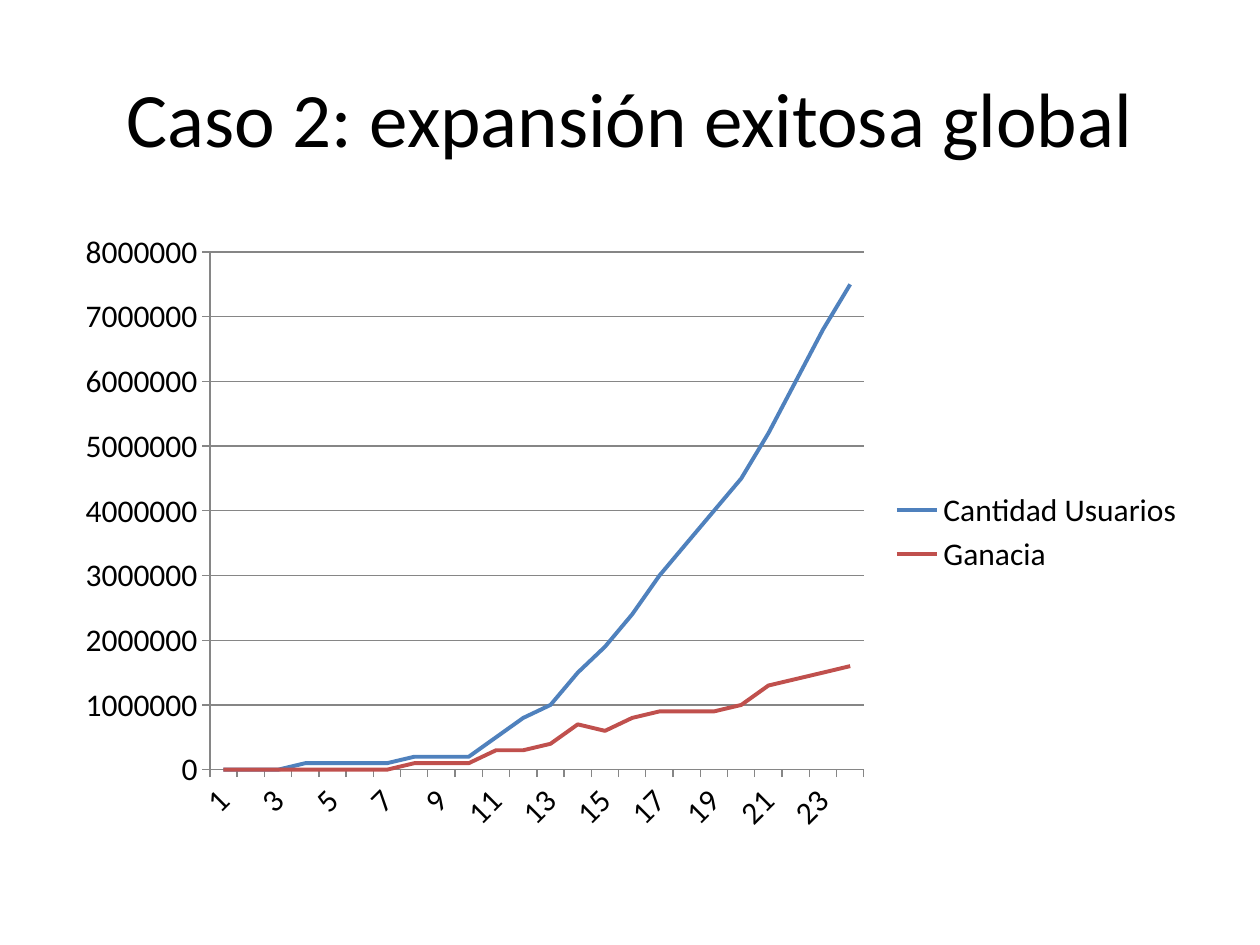
from pptx import Presentation
from pptx.chart.data import CategoryChartData
from pptx.dml.color import RGBColor
from pptx.enum.chart import XL_CHART_TYPE, XL_LEGEND_POSITION, XL_MARKER_STYLE, XL_TICK_MARK
from pptx.enum.text import MSO_ANCHOR, PP_ALIGN
from pptx.util import Inches, Pt

LINE, RIGHT = XL_CHART_TYPE.LINE, XL_LEGEND_POSITION.RIGHT
BARE = XL_MARKER_STYLE.NONE
OUT, NONE = XL_TICK_MARK.OUTSIDE, XL_TICK_MARK.NONE
MID, CENTER = MSO_ANCHOR.MIDDLE, PP_ALIGN.CENTER

TITLE = "Caso 2: expansión exitosa global"
UNIT = 100000
SERIES = {
    "Cantidad Usuarios": [0, 0, 0, 1, 1, 1, 1, 2, 2, 2, 5, 8,
                          10, 15, 19, 24, 30, 35, 40, 45, 52, 60, 68, 75],
    "Ganacia": [0, 0, 0, 0, 0, 0, 0, 1, 1, 1, 3, 3,
                4, 7, 6, 8, 9, 9, 9, 10, 13, 14, 15, 16],
}
THEME = {
    "font": "Calibri", "ink": "000000", "rule": "868686",
    "lines": ["4F81BD", "C0504D"],
    "head": 44, "body": 18, "stroke": 2.25, "thin": 0.75,
}
WIDE, HIGH = 10, 7.5
EDGE = WIDE / 20
SPAN = WIDE - 2 * EDGE


def put(obj, vals):
    for key, val in vals.items():
        setattr(obj, key, val)


def place(obj, top, tall):
    put(obj, dict(left=Inches(EDGE), top=Inches(top),
                  width=Inches(SPAN), height=Inches(tall)))


def style(font, size):
    put(font, dict(name=THEME["font"], size=Pt(size)))
    font.color.rgb = RGBColor.from_string(THEME["ink"])


def stroke(line, tint, width):
    line.color.rgb = RGBColor.from_string(tint)
    line.width = Pt(width)


deck = Presentation()
put(deck, dict(slide_width=Inches(WIDE), slide_height=Inches(HIGH)))
slide = deck.slides.add_slide(deck.slide_layouts[5])

head = slide.shapes.title
place(head, HIGH * 0.04, HIGH / 6)
put(head.text_frame, dict(text=TITLE, vertical_anchor=MID, word_wrap=True))
para = head.text_frame.paragraphs[0]
para.alignment = CENTER
style(para.runs[0].font, THEME["head"])

data = CategoryChartData(number_format="0")
data.categories = [str(n + 1) for n in range(len(SERIES["Ganacia"]))]
for name, vals in SERIES.items():
    data.add_series(name, [val * UNIT for val in vals])
frame = slide.shapes.add_chart(LINE, 0, 0, Inches(SPAN), Inches(HIGH * 0.66), data)
place(frame, WIDE * 0.175, HIGH * 0.66)

chart = frame.chart
put(chart, dict(has_title=False, has_legend=True))
put(chart.legend, dict(position=RIGHT, include_in_layout=False))
style(chart.font, THEME["body"])
chart.plots[0].vary_by_categories = False

for axis in (chart.category_axis, chart.value_axis):
    put(axis, dict(major_tick_mark=OUT, minor_tick_mark=NONE))
    stroke(axis.format.line, THEME["rule"], THEME["thin"])
scale = chart.value_axis
put(scale, dict(minimum_scale=0, maximum_scale=8000000,
                major_unit=1000000, has_major_gridlines=True))
stroke(scale.major_gridlines.format.line, THEME["rule"], THEME["thin"])
put(scale.tick_labels, dict(number_format="0", number_format_is_linked=False))

for row, tint in zip(chart.plots[0].series, THEME["lines"]):
    row.smooth = False
    row.marker.style = BARE
    stroke(row.format.line, tint, THEME["stroke"])

deck.save("out.pptx")
